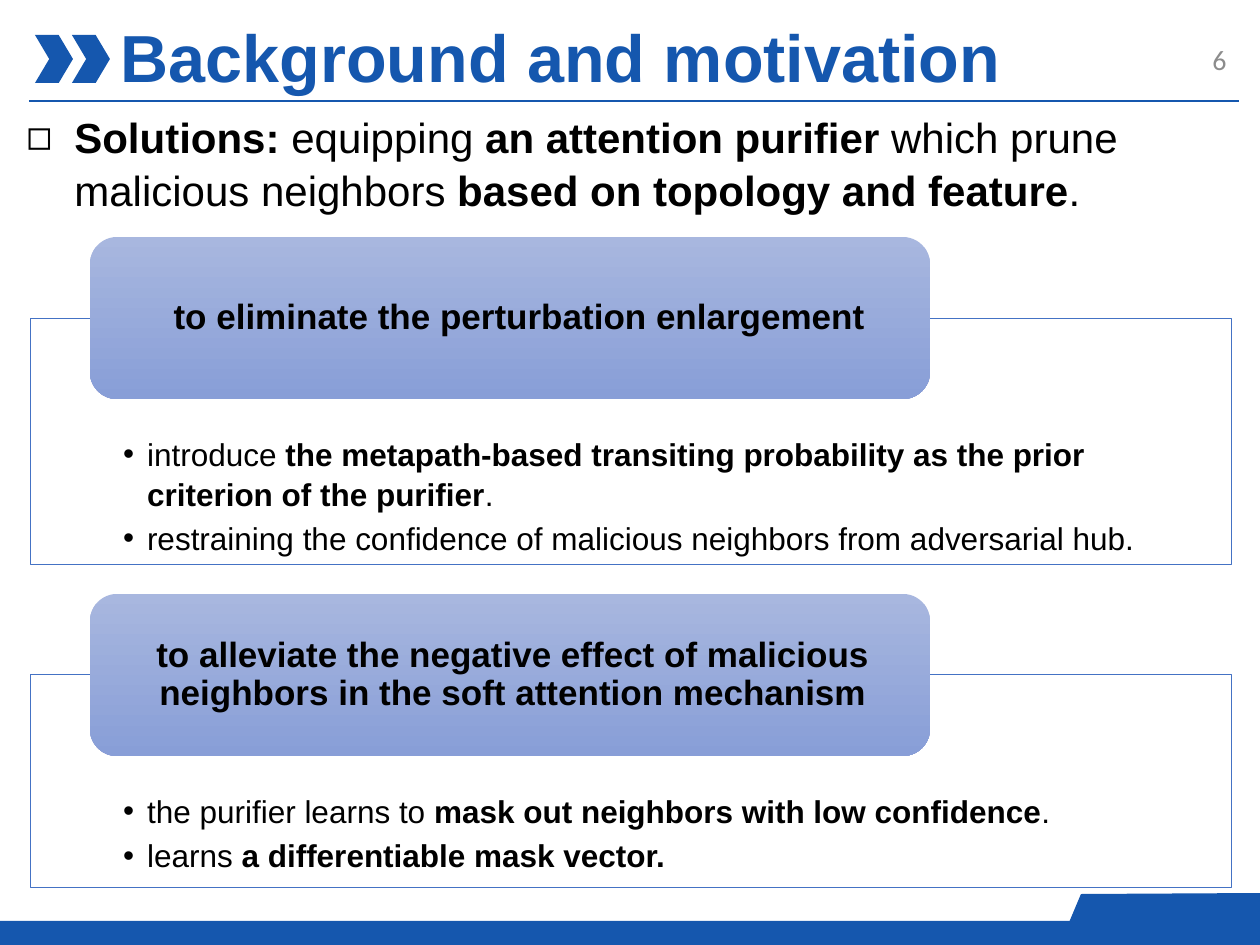
from lxml.etree import SubElement
from pptx import Presentation
from pptx.dml.color import RGBColor
from pptx.enum.shapes import MSO_CONNECTOR as Connector, MSO_SHAPE as Shape
from pptx.enum.text import MSO_ANCHOR as Anchor, PP_ALIGN as Align
from pptx.oxml.ns import qn
from pptx.util import Emu, Pt

BLUE = RGBColor(0x15, 0x57, 0xAE)
OUTLINE = RGBColor(0x44, 0x72, 0xC4)
GRADIENT_TOP = RGBColor(0xA8, 0xB7, 0xDF)
GRADIENT_BOTTOM = RGBColor(0x88, 0x9E, 0xD7)
GRAY = RGBColor(0x8C, 0x8C, 0x8C)
BLACK = RGBColor(0, 0, 0)
WHITE = RGBColor(0xFF, 0xFF, 0xFF)

PX_PER_INCH = 126
BODY_SPACING = 1.05

# Runs are (text, bold). Each section: panel top, panel height, heading,
# extra left inset of the heading, bullet paragraphs.
SOLUTIONS = [
    ("Solutions: ", True),
    ("equipping ", False),
    ("an attention purifier", True),
    (" which prune malicious neighbors ", False),
    ("based on topology and feature", True),
    (".", False),
]
SECTIONS = [
    (318, 247, "to eliminate the perturbation enlargement", 19, [
        [("introduce ", False),
         ("the metapath-based transiting probability as the prior "
          "criterion of the purifier", True),
         (".", False)],
        [("restraining the confidence of malicious neighbors from "
          "adversarial hub.", False)],
    ]),
    (675, 213, "to alleviate the negative effect of malicious neighbors "
               "in the soft attention mechanism", 6, [
        [("the purifier learns to ", False),
         ("mask out neighbors with low confidence", True),
         (".", False)],
        [("learns ", False), ("a differentiable mask vector.", True)],
    ]),
]


def px(value):
    return Emu(round(value * 914400 / PX_PER_INCH))


def add_runs(paragraph, runs, size, color=BLACK, font_name="Arial"):
    for text, bold in runs:
        run = paragraph.add_run()
        run.text = text
        run.font.size = Pt(size)
        run.font.name = font_name
        run.font.bold = bold
        run.font.color.rgb = color


def set_bullet(paragraph, character, indent):
    properties = paragraph._p.get_or_add_pPr()
    properties.set("marL", str(px(indent)))
    properties.set("indent", str(-px(indent)))
    SubElement(properties, qn("a:buFont"), typeface="Arial")
    SubElement(properties, qn("a:buChar"), char=character)


def set_insets(frame, left, top, right, bottom):
    frame.margin_left, frame.margin_top = px(left), px(top)
    frame.margin_right, frame.margin_bottom = px(right), px(bottom)


def add_plain_shape(slide, kind, left, top, width, height, fill=BLUE):
    shape = slide.shapes.add_shape(kind, px(left), px(top), px(width), px(height))
    shape.shadow.inherit = False
    shape.fill.solid()
    shape.fill.fore_color.rgb = fill
    shape.line.fill.background()
    return shape


def add_text(slide, left, top, width, height, align=Align.LEFT, anchor=Anchor.TOP):
    """Add a wrapping text box and return its first paragraph."""
    box = slide.shapes.add_textbox(px(left), px(top), px(width), px(height))
    frame = box.text_frame
    frame.word_wrap = True
    frame.vertical_anchor = anchor
    paragraph = frame.paragraphs[0]
    paragraph.alignment = align
    return paragraph


def add_footer(slide):
    add_plain_shape(slide, Shape.RECTANGLE, 0, 921, 1260, 24)
    builder = slide.shapes.build_freeform(px(1260), px(939), scale=1.0)
    corners = [(1260, 893), (1081, 894), (1062, 939)]
    builder.add_line_segments([(px(x), px(y)) for x, y in corners], close=True)
    tab = builder.convert_to_shape()
    tab.shadow.inherit = False
    tab.fill.solid()
    tab.fill.fore_color.rgb = BLUE
    tab.line.fill.background()


def add_header(slide):
    rule = slide.shapes.add_connector(
        Connector.STRAIGHT, px(29), px(101), px(1239), px(101))
    rule.line.color.rgb = BLUE
    rule.line.width = Pt(1.5)
    SubElement(rule._element.spPr, qn("a:effectLst"))
    for left in (35, 72):
        chevron = add_plain_shape(slide, Shape.CHEVRON, left, 35, 38, 48)
        chevron.adjustments[0] = 0.375
    number = add_text(slide, 1139, 35, 100, 48, Align.RIGHT, Anchor.MIDDLE)
    add_runs(number, [("6", False)], 16, GRAY, "Calibri")
    title = add_text(slide, 39, 10, 1044, 93, Align.CENTER)
    add_runs(title, [("Background and motivation", True)], 38, BLUE)


def add_panel(slide, top, height, bullets):
    panel = add_plain_shape(slide, Shape.RECTANGLE, 30, top, 1201, height, WHITE)
    panel.line.color.rgb = OUTLINE
    panel.line.width = Pt(0.5)
    frame = panel.text_frame
    frame.word_wrap = True
    frame.vertical_anchor = Anchor.TOP
    set_insets(frame, 93, 115, 93, 18)
    for index, runs in enumerate(bullets):
        paragraph = frame.add_paragraph() if index else frame.paragraphs[0]
        paragraph.alignment = Align.LEFT
        paragraph.line_spacing = BODY_SPACING
        paragraph.space_after = Pt(2.7)
        set_bullet(paragraph, "•", 24)
        add_runs(paragraph, runs, 18)


def add_heading(slide, top, text, extra_inset):
    heading = add_plain_shape(slide, Shape.ROUNDED_RECTANGLE, 90, top, 840, 162)
    heading.fill.gradient()
    heading.fill.gradient_angle = 270
    stops = heading.fill.gradient_stops
    stops[0].color.rgb, stops[1].color.rgb = GRADIENT_TOP, GRADIENT_BOTTOM
    stops[0].position, stops[1].position = 0, 1
    frame = heading.text_frame
    frame.word_wrap = True
    frame.vertical_anchor = Anchor.MIDDLE
    set_insets(frame, 40 + extra_inset, 0, 40, 0)
    paragraph = frame.paragraphs[0]
    paragraph.alignment = Align.CENTER
    paragraph.line_spacing = 0.9
    add_runs(paragraph, [(text, True)], 20)


def main():
    presentation = Presentation()
    presentation.slide_width, presentation.slide_height = px(1260), px(945)
    slide = presentation.slides.add_slide(presentation.slide_layouts[6])
    add_footer(slide)
    add_header(slide)
    for top, height, heading, extra_inset, bullets in SECTIONS:
        add_panel(slide, top, height, bullets)
        add_heading(slide, top - 81, heading, extra_inset)
    solutions = add_text(slide, 14, 103, 1223, 165)
    solutions.line_spacing = BODY_SPACING
    set_bullet(solutions, "◻", 48)
    add_runs(solutions, SOLUTIONS, 24)
    presentation.save("out.pptx")


if __name__ == "__main__":
    main()
